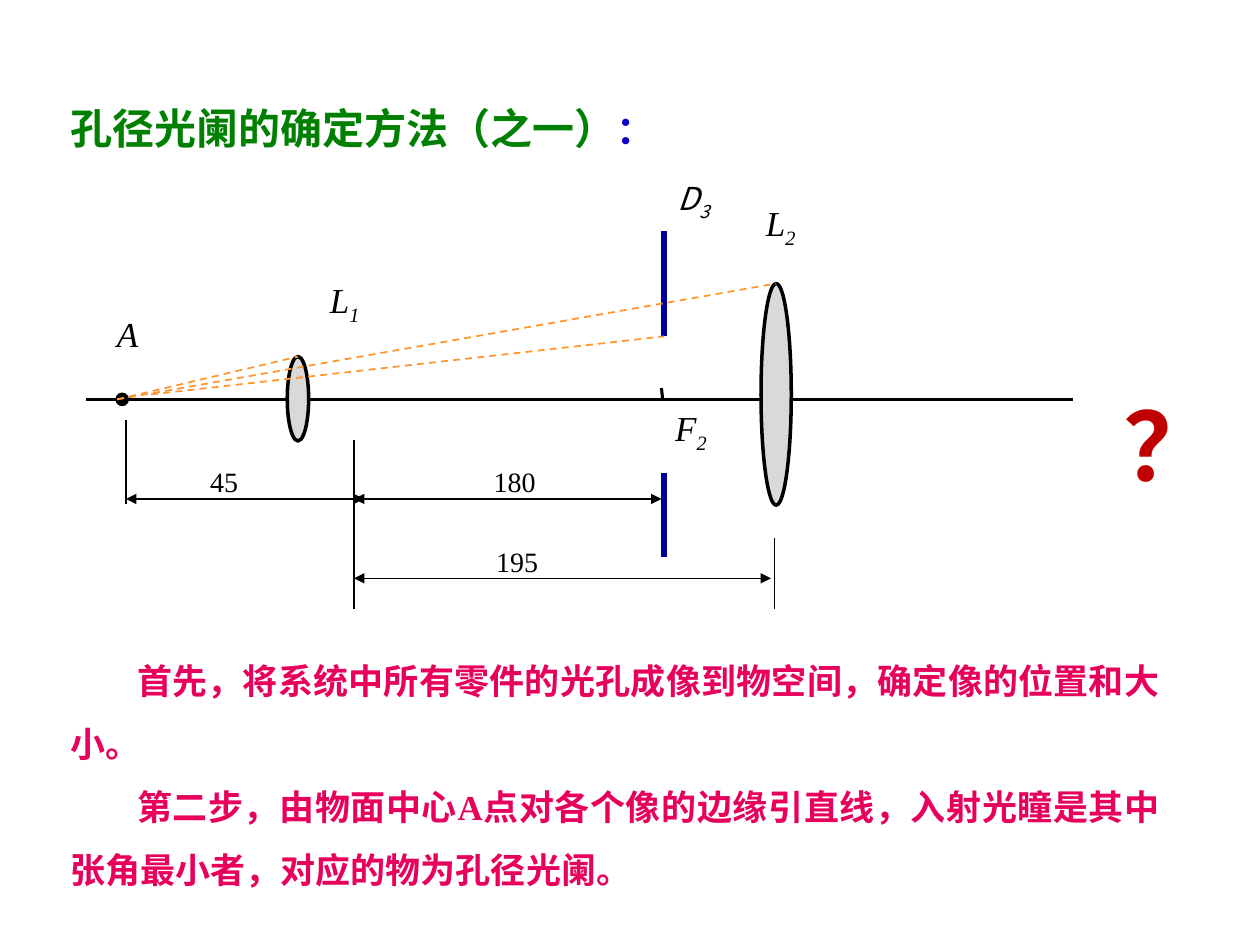
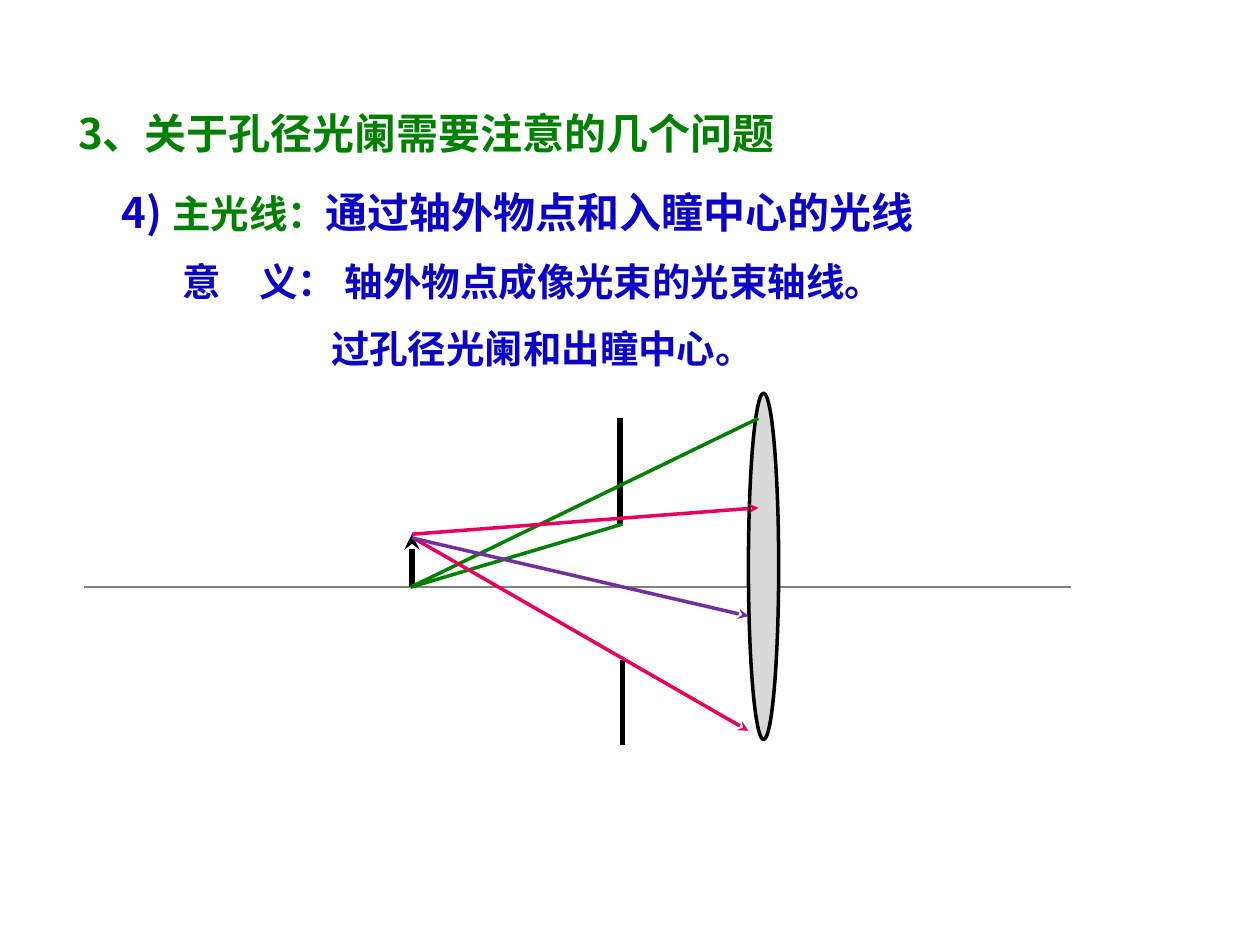
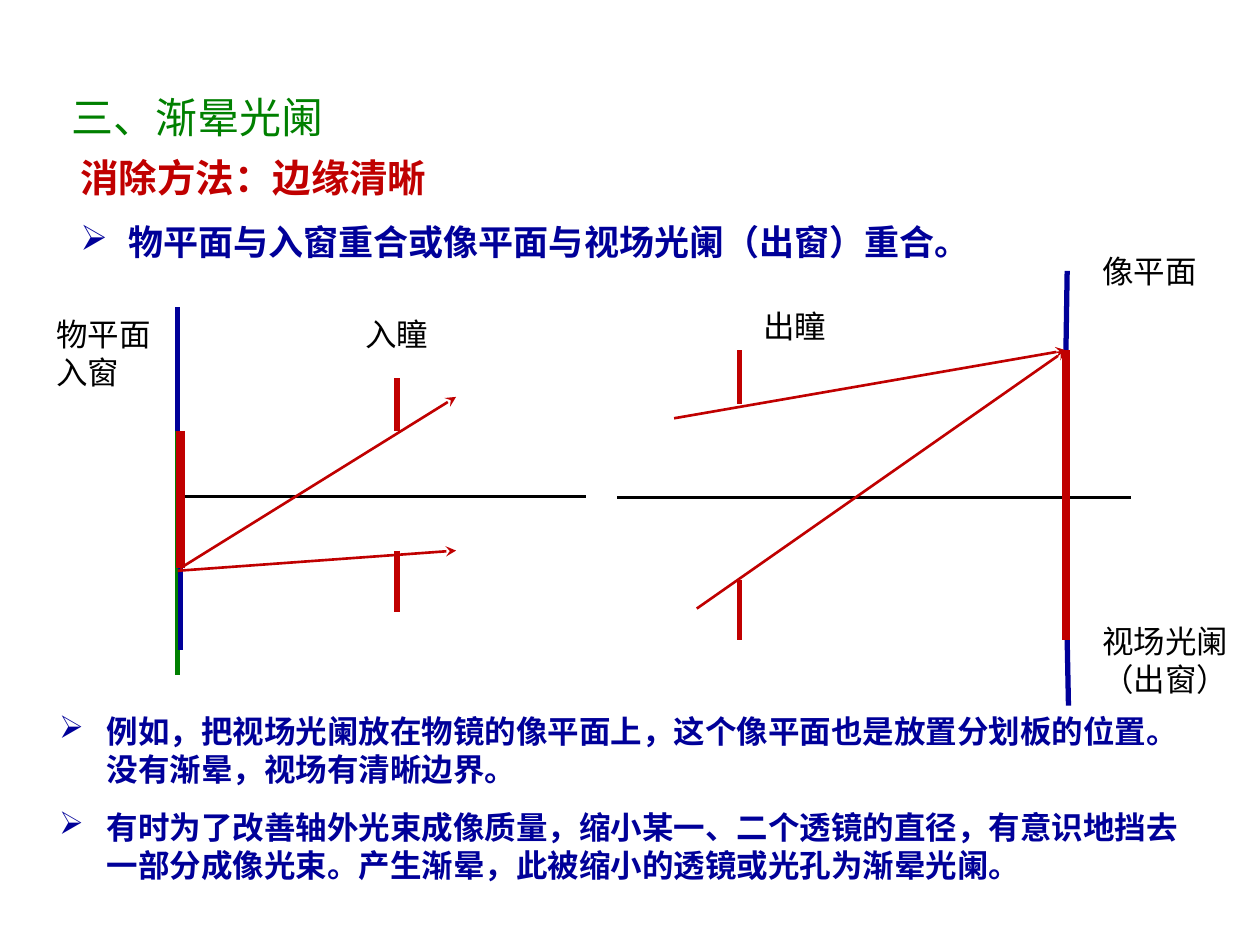
from dataclasses import dataclass
from lxml.etree import SubElement
from pptx import Presentation
from pptx.dml.color import RGBColor as Rgb
from pptx.enum.dml import MSO_LINE as Dash
from pptx.enum.shapes import MSO_CONNECTOR as Link, MSO_SHAPE as Form
from pptx.enum.text import MSO_ANCHOR as Anchor, MSO_AUTO_SIZE as Fit, PP_ALIGN as Align
from pptx.oxml.ns import qn
from pptx.util import Inches, Pt

HUES = {"black": "000000", "gray": "808080", "glass": "D9D9D9", "green": "008000",
        "blue": "0A00C8", "navy": "000099", "pink": "E7005C", "red": "C00000",
        "orange": "FE962D", "violet": "7030A0"}
SANS, SERIF, PLAIN = "Noto Sans CJK SC", "Times New Roman", "Arial"
POINT = dict(left=0.38, indent=-0.38, before=12, bullet="➢", hue="navy")


def tint(name):
    return Rgb.from_string(HUES[name])


def style(run, font=SANS, size=18, hue="black", bold=False, italic=False, base=0):
    face = run.font
    face.size, face.bold, face.italic = Pt(size), bold, italic
    face.color.rgb = tint(hue)
    face.name = font
    props = run._r.get_or_add_rPr()
    SubElement(props, qn("a:ea"), typeface=SANS)
    if base:
        props.set("baseline", str(base * 1000))


def write(frame, text, align=Align.LEFT, left=0, indent=0, before=0, space=1,
          bullet=None, **form):
    para = frame.paragraphs[0]
    if para.runs:
        para = frame.add_paragraph()
    para.alignment, para.line_spacing, para.space_before = align, space, Pt(before)
    props = para._p.get_or_add_pPr()
    props.set("marL", str(Inches(left)))
    props.set("indent", str(Inches(indent)))
    if bullet:
        SubElement(props, qn("a:buChar"), char=bullet)
    for part, extra in [(text, {})] if isinstance(text, str) else text:
        run = para.add_run()
        run.text = part
        style(run, **{**form, **extra})


def title(slide, box, text, **form):
    shape = slide.shapes.title
    shape.left, shape.top, shape.width, shape.height = map(Inches, box)
    frame = shape.text_frame
    frame.word_wrap, frame.vertical_anchor = True, Anchor.TOP
    frame.auto_size = Fit.SHAPE_TO_FIT_TEXT
    write(frame, text, **{"size": 24, "hue": "green", "bold": True, **form})


@dataclass
class Zone:
    slide: object
    x: float
    y: float
    w: float
    h: float

    def frame(self, x=0, y=0, w=None, h=None, wrap=True):
        box = self.slide.shapes.add_textbox(
            Inches(self.x + x), Inches(self.y + y), Inches(w or self.w), Inches(h or self.h))
        frame = box.text_frame
        frame.word_wrap, frame.auto_size = wrap, Fit.SHAPE_TO_FIT_TEXT
        return frame

    def label(self, x, y, w, *lines, h=0.4, **form):
        frame = self.frame(x, y, w, h, wrap=False)
        for text in lines:
            write(frame, text, **form)

    def symbol(self, x, y, w, name, mark="", **form):
        parts = [(name, {})] + ([(mark, {"base": -25})] if mark else [])
        self.label(x, y, w, parts, h=0.44,
                   **{"font": SERIF, "size": 20, "italic": True, **form})

    def line(self, start, end, hue="black", width=1.5, head=None, tail=None,
             dash=False, join=None):
        ends = [Inches(v) for x, y in (start, end) for v in (self.x + x, self.y + y)]
        link = self.slide.shapes.add_connector(Link.STRAIGHT, *ends)
        if join:
            link.end_connect(join, 0)
        link.line.color.rgb, link.line.width = tint(hue), Pt(width)
        if dash:
            link.line.dash_style = Dash.DASH
        edge = link.line._get_or_add_ln()
        for tag, kind in (("a:headEnd", head), ("a:tailEnd", tail)):
            if kind:
                SubElement(edge, qn(tag), type=kind)
        SubElement(link._element.spPr, qn("a:effectLst"))

    def post(self, x, top, foot, hue="black", width=3):
        self.line((x, top), (x, foot), hue, width)

    def oval(self, x, y, w, h, fill="glass"):
        shape = self.slide.shapes.add_shape(
            Form.OVAL, Inches(self.x + x), Inches(self.y + y), Inches(w), Inches(h))
        shape.shadow.inherit = False
        shape.fill.solid()
        shape.fill.fore_color.rgb = tint(fill)
        shape.line.color.rgb, shape.line.width = tint("black"), Pt(2)
        return shape


def method(zone):
    axis = 1.8
    zone.line((0, axis), (zone.w, axis))
    small = zone.oval(1.6, 1.46, 0.17, 0.67)
    large = zone.oval(5.36, 0.88, 0.24, 1.76)
    zone.oval(0.25, 1.76, 0.08, 0.08, "black")
    for top, foot in ((0.46, 1.3), (2.38, 3.05)):
        zone.post(4.59, top, foot, "navy")
    for x, top, foot in ((0.32, 1.96, 2.63), (2.13, 2.12, 3.46), (5.47, 2.9, 3.46)):
        zone.post(x, top, foot, width=0.75)
    for x, end, y, spot, w, text in ((0.32, 2.21, 2.59, 0.89, 0.43, "45"),
                                     (2.13, 4.57, 2.59, 3.14, 0.54, "180"),
                                     (2.13, 5.44, 3.22, 3.16, 0.54, "195")):
        zone.line((x, y), (end, y), width=0.75, head="triangle", tail="triangle")
        zone.label(spot, y - 0.32, w, text, h=0.37, font=SERIF, size=16)
    zone.line((4.57, 1.71), (4.58, 1.81), width=1.75)
    for start, end, join in (((0.25, axis), (1.69, 1.46), small),
                             ((0.52, 1.76), (4.59, 1.3), None),
                             ((0.25, axis), (5.48, 0.88), large)):
        zone.line(start, end, "orange", 1, dash=True, join=join)
    zone.symbol(0.15, 1.06, 0.37, "A")
    zone.symbol(1.84, 0.79, 0.47, "L", "1")
    zone.symbol(5.3, 0.18, 0.45, "L", "2")
    zone.symbol(4.58, 1.81, 0.47, "F", "2")
    zone.symbol(4.6, 0, 0.5, "D", "3", font=SANS, size=18)


def steps(zone):
    frame = zone.frame()
    for text in ("首先，将系统中所有零件的光孔成像到物空间，确定像的位置和大小。",
                 "第二步，由物面中心A点对各个像的边缘引直线，入射光瞳是其中张角最小者，对应的物为孔径光阑。"):
        write(frame, text, align=Align.JUSTIFY, indent=0.53, space=1.5,
              font=SERIF, size=20, hue="pink", bold=True)


def query(zone):
    write(zone.frame(), "？", font=SERIF, size=54, hue="red", bold=True)


def chief(zone):
    frame = zone.frame()
    write(frame, [("4) ", {}), ("主光线：", {"size": 22, "hue": "green"}),
                  ("通过轴外物点和入瞳中心的光线", {})], size=24, hue="blue", bold=True)
    for indent, text in ((0.48, "意　义： 轴外物点成像光束的光束轴线。"),
                         (1.66, "过孔径光阑和出瞳中心。")):
        write(frame, text, indent=indent, before=12, font=SERIF, size=22,
              hue="blue", bold=True)


def beams(zone):
    axis = 1.54
    zone.line((0, axis), (zone.w, axis), "gray")
    zone.oval(5.27, 0, 0.24, 2.75)
    zone.post(4.25, 0.2, 1.04)
    zone.post(4.27, 2.12, 2.79)
    zone.line((2.6, axis), (2.6, 1.12), width=3, tail="stealth")
    for end in ((4.27, 1.04), (5.35, 0.2)):
        zone.line((2.59, axis), end, "green", 2)
    for start, end, hue in (((2.6, 1.12), (5.35, 0.91), "pink"),
                            ((2.61, 1.15), (5.27, 2.68), "pink"),
                            ((2.6, 1.15), (5.27, 1.77), "violet")):
        zone.line(start, end, hue, 2, tail="stealth")


def cure(zone):
    frame = zone.frame()
    write(frame, "消除方法：边缘清晰", size=22, hue="red", bold=True)
    write(frame, "物平面与入窗重合或像平面与视场光阑（出窗）重合。", size=20, bold=True, **POINT)


def notes(zone):
    frame = zone.frame()
    for text in ("例如，把视场光阑放在物镜的像平面上，这个像平面也是放置分划板的位置。没有渐晕，视场有清晰边界。",
                 "有时为了改善轴外光束成像质量，缩小某一、二个透镜的直径，有意识地挡去一部分成像光束。"
                 "产生渐晕，此被缩小的透镜或光孔为渐晕光阑。"):
        write(frame, text, bold=True, **POINT)


def pupil(zone, x, upper, lower):
    for top, foot in (upper, lower):
        zone.post(x, top, foot, "red")


def entry(zone):
    zone.post(1.06, 0.17, zone.h, "green")
    zone.line((1.06, 1.5), (zone.w, 1.5))
    zone.post(1.06, 0, 0.98, "navy")
    zone.post(1.08, 2.06, 2.72, "navy")
    zone.label(2.45, 0.01, 0.71, "入瞳", font=PLAIN)
    zone.label(0, 0.01, 0.96, "物平面", "入窗", h=0.71, font=PLAIN)
    pupil(zone, 2.8, (0.56, 0.98), (1.93, 2.42))
    zone.post(1.08, 0.98, 2.07, "red", 5)
    for start, end in (((1.08, 2.07), (3.27, 0.71)), ((1.06, 2.09), (3.27, 1.93))):
        zone.line(start, end, "red", tail="stealth")


def leave(zone):
    edge = (3.56, 0.83)
    zone.line((0, 2), (4.08, 2))
    zone.line((3.57, 0.2), edge, "navy", 3)
    zone.line((3.57, 3.13), (3.58, zone.h), "navy", 3)
    zone.label(1.06, 0.44, 0.71, "出瞳", font=PLAIN)
    pupil(zone, 0.97, (0.83, 1.26), (2.65, 3.13))
    for start in ((0.45, 1.37), (0.63, 2.88)):
        zone.line(start, edge, "red", tail="stealth")
    zone.post(3.56, 0.83, 3.13, "red", 5)
    zone.label(3.75, 0, 0.96, "像平面", font=PLAIN)
    zone.label(3.75, 2.94, 1.21, "视场光阑", "（出窗）", h=0.71, font=PLAIN)


def main():
    deck = Presentation()
    deck.slide_width, deck.slide_height = Inches(10), Inches(7.5)
    first, second, third = (deck.slides.add_slide(deck.slide_layouts[5]) for _ in range(3))

    title(first, (0.46, 0.76, 5.32, 0.5),
          [("孔径光阑的确定方法（之一）", {}),
           ("：", {"font": SERIF, "size": 22, "hue": "blue"})])
    steps(Zone(first, 0.46, 5.02, 8.84, 2.12))
    method(Zone(first, 0.68, 1.37, 7.84, 3.46))
    query(Zone(first, 8.82, 3.02, 1.1, 1.01))

    title(second, (0.52, 0.8, 7.73, 0.5), "3、关于孔径光阑需要注意的几个问题")
    chief(Zone(second, 0.87, 1.43, 8.47, 1.58))
    beams(Zone(second, 0.67, 3.12, 7.83, 2.79))

    title(third, (0.47, 0.6, 2.73, 0.59), "三、渐晕光阑", bold=False, space=1.2)
    cure(Zone(third, 0.54, 1.17, 9.08, 0.98))
    notes(Zone(third, 0.37, 5.6, 9.08, 1.48))
    entry(Zone(third, 0.35, 2.44, 4.3, 2.92))
    leave(Zone(third, 4.9, 1.95, 4.96, 3.65))

    deck.save("out.pptx")


if __name__ == "__main__":
    main()
